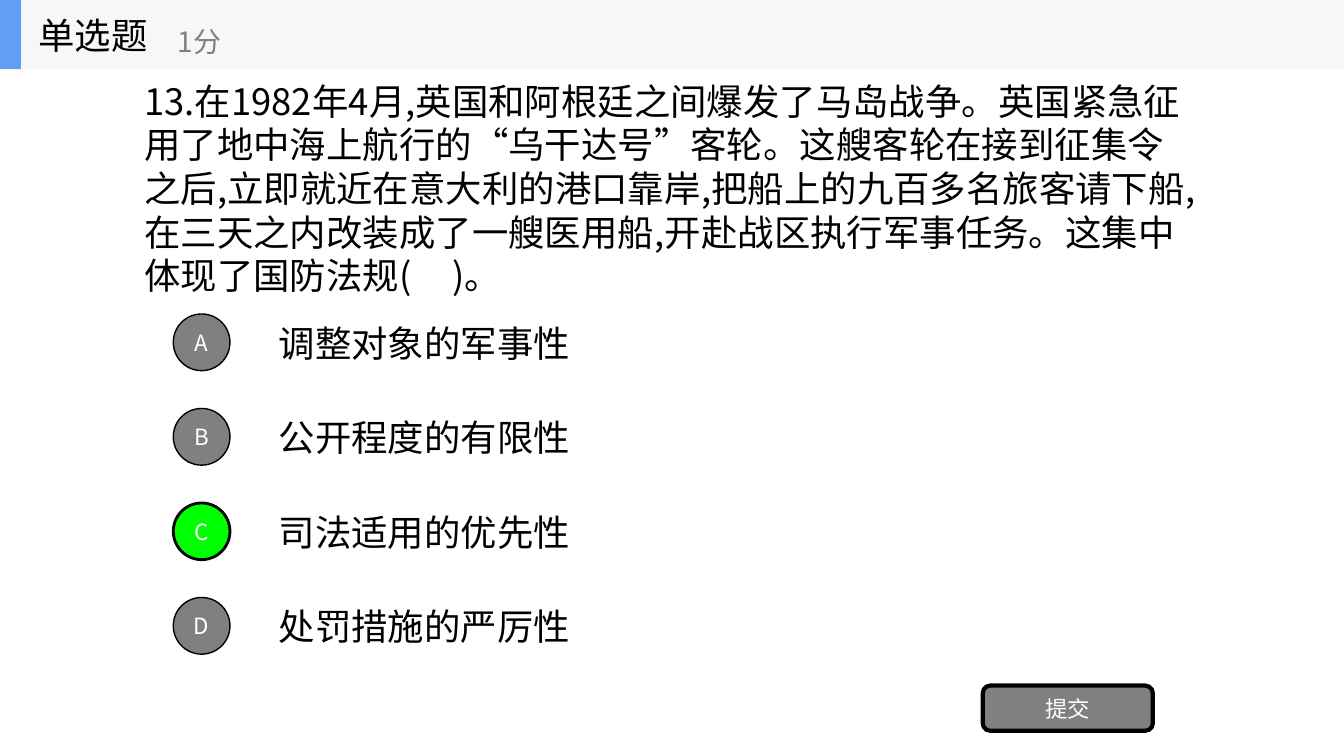
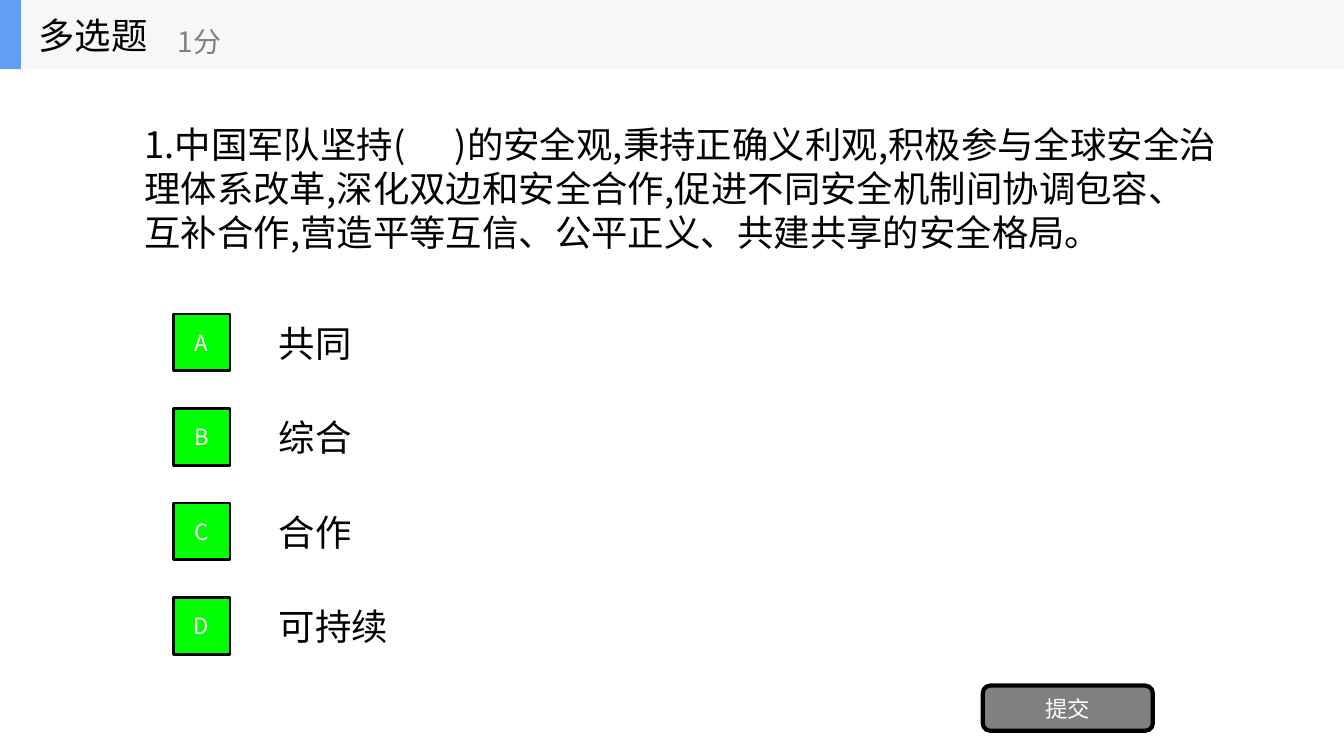
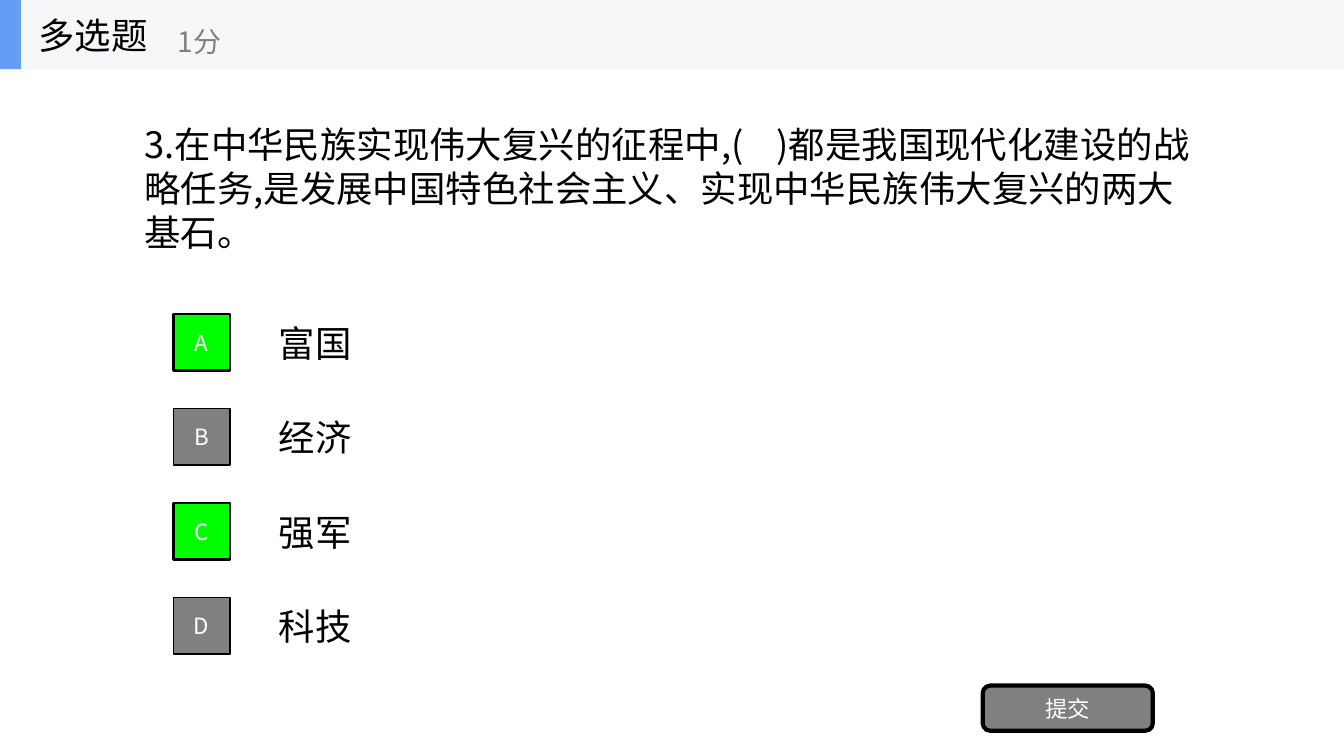
import pptx
import pptx.util
import pptx.dml.color
import pptx.enum.shapes
import pptx.enum.text
import pptx.oxml
import pptx.oxml.ns

# Content: each option is (text, is it a right answer)
SHAPE = pptx.enum.shapes.MSO_SHAPE
SCORE = "1分"
SUBMIT = "提交"
QUESTIONS = [
    {
        "kind": "单选题",
        "badge": SHAPE.OVAL,
        "text": "13.在1982年4月,英国和阿根廷之间爆发了马岛战争。英国紧急征用了地中海上航行的“乌干达号”客轮。"
                "这艘客轮在接到征集令之后,立即就近在意大利的港口靠岸,把船上的九百多名旅客请下船,"
                "在三天之内改装成了一艘医用船,开赴战区执行军事任务。这集中体现了国防法规(     )。",
        "place": (128, 70, 1015, 218),
        "options": [("调整对象的军事性", False), ("公开程度的有限性", False),
                    ("司法适用的优先性", True), ("处罚措施的严厉性", False)],
    },
    {
        "kind": "多选题",
        "badge": SHAPE.RECTANGLE,
        "text": "1.中国军队坚持(      )的安全观,秉持正确义利观,积极参与全球安全治理体系改革,"
                "深化双边和安全合作,促进不同安全机制间协调包容、互补合作,"
                "营造平等互信、公平正义、共建共享的安全格局。",
        "place": (128, 112, 1042, 134),
        "options": [("共同", True), ("综合", True), ("合作", True), ("可持续", True)],
    },
    {
        "kind": "多选题",
        "badge": SHAPE.RECTANGLE,
        "text": "3.在中华民族实现伟大复兴的征程中,(    )都是我国现代化建设的战略任务,"
                "是发展中国特色社会主义、实现中华民族伟大复兴的两大基石。",
        "place": (128, 112, 1021, 134),
        "options": [("富国", True), ("经济", False), ("强军", True), ("科技", False)],
    },
]

# Shared style
PX = 9525  # EMU in one px, 96 px to the inch
WIDTH, HEIGHT = 1280, 720
BAND_HEIGHT = 66
OPTION_TOP, OPTION_STEP = 299, 90
BADGE_LEFT, BADGE_SIZE = 165, 54
ANSWER_LEFT, ANSWER_HEIGHT = 256, 51
ANSWER_PADDING, CHARACTER_WIDTH = 27, 35
FONT = "Noto Sans CJK SC"
BODY_SIZE, SCORE_SIZE, BUTTON_SIZE = 26, 20, 16
BLACK = pptx.dml.color.RGBColor(0x00, 0x00, 0x00)
WHITE = pptx.dml.color.RGBColor(0xFF, 0xFF, 0xFF)
GREY = pptx.dml.color.RGBColor(0x80, 0x80, 0x80)
GREEN = pptx.dml.color.RGBColor(0x00, 0xFF, 0x00)
BAND = pptx.dml.color.RGBColor(0xF6, 0xF7, 0xF8)
ACCENT = pptx.dml.color.RGBColor(0x63, 0x9E, 0xF4)


def emu(place):
    return [pptx.util.Emu(length * PX) for length in place]


def write(shape, text, size, color, align=None):
    frame = shape.text_frame
    frame.vertical_anchor = pptx.enum.text.MSO_ANCHOR.MIDDLE
    para = frame.paragraphs[0]
    para.alignment = align
    span = para.add_run()
    span.text = text
    span.font.size = pptx.util.Pt(size)
    span.font.color.rgb = color
    span.font.name = FONT
    east_asian = pptx.oxml.parse_xml(
        f'<a:ea {pptx.oxml.ns.nsdecls("a")} typeface="{FONT}"/>')
    span.font._element.append(east_asian)


def add_text(shapes, place, text, size=BODY_SIZE, color=BLACK, wrap=True):
    box = shapes.add_textbox(*emu(place))
    box.text_frame.word_wrap = wrap
    if wrap:
        box.text_frame.auto_size = pptx.enum.text.MSO_AUTO_SIZE.SHAPE_TO_FIT_TEXT
    write(box, text, size, color)


def add_block(shapes, kind, place, fill, line_width=0):
    block = shapes.add_shape(kind, *emu(place))
    block.shadow.inherit = False
    block.fill.solid()
    block.fill.fore_color.rgb = fill
    if line_width:
        block.line.color.rgb = BLACK
        block.line.width = pptx.util.Pt(line_width)
    else:
        block.line.fill.background()
    return block


def add_button(shapes, kind, place, text, fill, line_width):
    button = add_block(shapes, kind, place, fill, line_width)
    write(button, text, BUTTON_SIZE, WHITE, pptx.enum.text.PP_ALIGN.CENTER)


def add_header(page, kind):
    shapes = page.shapes.add_group_shape().shapes
    add_block(shapes, SHAPE.RECTANGLE, (0, 0, WIDTH, BAND_HEIGHT), BAND)
    add_block(shapes, SHAPE.RECTANGLE, (0, 0, 20, BAND_HEIGHT), ACCENT)
    add_text(shapes, (27, 0, 200, BAND_HEIGHT), kind, wrap=False)
    add_text(shapes, (160, 12, 240, 54), SCORE, SCORE_SIZE, GREY, wrap=False)


def add_option(page, index, badge, answer, right):
    top = OPTION_TOP + index * OPTION_STEP
    answer_width = ANSWER_PADDING + CHARACTER_WIDTH * len(answer)
    answer_top = top + (BADGE_SIZE - ANSWER_HEIGHT + 1) // 2
    add_text(page.shapes, (ANSWER_LEFT, answer_top, answer_width, ANSWER_HEIGHT), answer)
    fill, line_width = (GREEN, 2) if right else (GREY, 1)
    add_button(page.shapes, badge, (BADGE_LEFT, top, BADGE_SIZE, BADGE_SIZE),
               "ABCD"[index], fill, line_width)


def main():
    deck = pptx.Presentation()
    deck.slide_width, deck.slide_height = emu((WIDTH, HEIGHT))
    for question in QUESTIONS:
        page = deck.slides.add_slide(deck.slide_layouts[6])
        add_text(page.shapes, question["place"], question["text"])
        for index, (answer, right) in enumerate(question["options"]):
            add_option(page, index, question["badge"], answer, right)
        add_button(page.shapes, SHAPE.ROUNDED_RECTANGLE, (936, 653, 162, 43),
                   SUBMIT, GREY, 3)
        add_header(page, question["kind"])
    deck.save("out.pptx")


if __name__ == "__main__":
    main()
